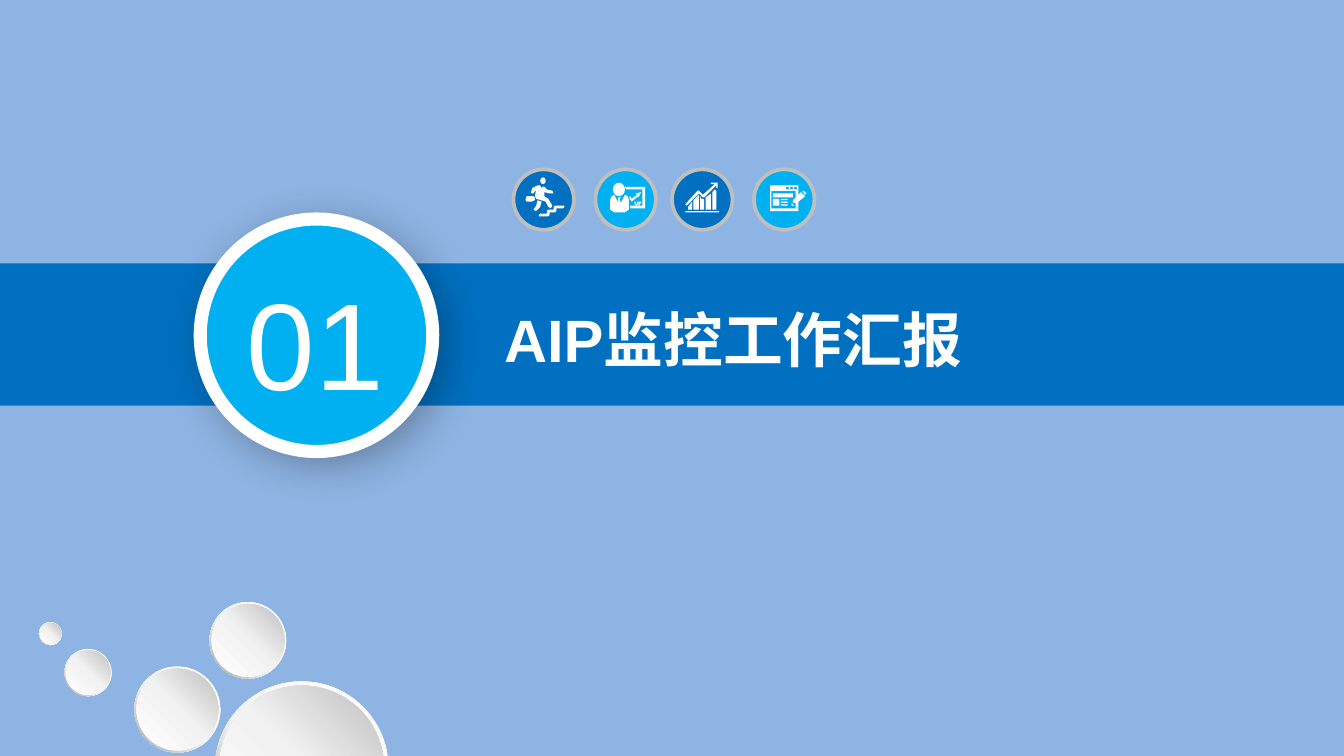
from lxml.etree import SubElement
from pptx import Presentation
from pptx.dml.color import RGBColor
from pptx.enum.shapes import MSO_SHAPE as Shape
from pptx.enum.text import MSO_ANCHOR as Anchor, PP_ALIGN as Align
from pptx.oxml.ns import qn
from pptx.util import Inches, Pt

WHITE = RGBColor(0xFF, 0xFF, 0xFF)
LIGHT = RGBColor(0xF2, 0xF2, 0xF2)
SILVER = RGBColor(0xBF, 0xBF, 0xBF)
GREY = RGBColor(0xA6, 0xA6, 0xA6)
BLACK = RGBColor(0, 0, 0)
SKY = RGBColor(0x8E, 0xB4, 0xE3)
BLUE = RGBColor(0x01, 0x70, 0xC0)
CYAN = RGBColor(0x01, 0xB0, 0xF1)

TITLE = "AIP监控工作汇报"
NUMBER = "01"
FONT = "Arial"
ICON_TOP, ICON_SIZE = 1.26, 0.45
RING = 0.049  # thickness of a bubble's rim, as a share of its size

# Icon parts are in hundredths of an inch from the icon's top left corner.
# "outlines": lists of contours; "ovals" and "bars": left, top, width, height.
RUNNER = {
    "outlines": [
        [[(20, 33), (25, 33), (25, 31), (26, 30), (30, 30), (30, 28), (31, 27), (38, 27), (38, 28),
          (37, 29), (32, 29), (32, 31), (31, 32), (27, 32), (27, 34), (26, 35), (19, 35), (19, 34)]],
        [[(10, 24), (14, 24), (16, 23), (16, 21), (15, 20), (10, 20), (9, 23)]],
        [[(15, 30), (17, 27), (18, 23), (21, 24), (20, 28), (17, 31)]],
        [[(22, 13), (23, 13), (25, 15), (29, 16), (30, 18), (27, 18), (23, 17), (23, 20), (26, 22),
          (29, 27), (28, 29), (26, 28), (24, 24), (17, 22), (16, 20), (17, 15), (15, 18), (13, 18),
          (14, 14), (18, 12), (20, 12), (21, 14)]],
    ],
    "ovals": [(20, 6, 4, 5)],
}
PRESENTER = {
    "outlines": [
        [[(22, 13), (23, 15), (35, 15), (35, 27), (26, 27), (26, 29), (37, 29), (37, 13)]],
        [[(26, 20), (25, 21), (27, 24), (32, 20), (32, 21), (34, 17), (30, 18), (31, 19), (27, 22)]],
        [[(22, 19), (19, 25), (18, 22), (19, 21), (17, 21), (17, 25), (14, 19), (12, 20), (11, 23),
          (11, 30), (14, 32), (22, 32), (25, 30), (25, 23), (24, 20)]],
        [[(29, 24), (29, 25), (30, 27), (31, 27), (32, 25), (32, 24), (31, 24), (31, 26), (30, 26),
          (30, 24)]],
        [[(32, 24), (32, 27), (33, 27), (33, 26), (34, 25), (34, 24)]],
    ],
    "ovals": [(13, 10, 9, 10)],
}
GROWTH = {
    "outlines": [
        [[(12, 28), (15, 24), (15, 30), (12, 30)]],
        [[(16, 23), (20, 19), (20, 30), (16, 30)]],
        [[(21, 20), (22, 22), (24, 22), (24, 30), (21, 30)]],
        [[(25, 21), (29, 18), (29, 30), (25, 30)]],
        [[(30, 17), (32, 15), (33, 16), (33, 30), (30, 30)]],
        [[(11, 27), (20, 18), (23, 21), (24, 21), (33, 12), (33, 14), (34, 14), (34, 10), (29, 10),
          (29, 11), (32, 11), (23, 19), (20, 16), (19, 16), (10, 26)]],
    ],
    "bars": [(10, 31, 25, 1)],
}
BROWSER = {
    "outlines": [
        [[(12, 12), (33, 12), (33, 31), (12, 31)],
         [(13, 16), (13, 29), (31, 29), (31, 16)]]
        + [[(x, 13), (x, 15), (x + 2, 15), (x + 2, 13)] for x in (24, 27, 30)],
        [[(28, 25), (28, 27), (30, 27)]],
        [[(38, 19), (39, 18), (37, 16), (36, 16)]],
        [[(35, 17), (29, 23), (29, 25), (31, 25), (32, 25), (38, 20)]],
    ],
    "bars": [(14, 18, 15, 3), (14, 22, 5, 5)] + [(20, y, 5, 1) for y in (22, 24, 26)],
}
ICONS = [(3.82, BLUE, RUNNER), (4.43, CYAN, PRESENTER), (5.00, BLUE, GROWTH), (5.61, CYAN, BROWSER)]

# left, top, size
BUBBLES = [(1.00, 4.96, 0.64), (1.83, 5.28, 0.28), (1.60, 5.07, 1.29),
           (1.56, 4.48, 0.57), (0.48, 4.83, 0.35), (0.29, 4.63, 0.17)]


def paint(shape, color, line=None, width=0):
    shape.shadow.inherit = False
    shape.fill.solid()
    shape.fill.fore_color.rgb = color
    if line is None:
        shape.line.fill.background()
    else:
        shape.line.color.rgb = line
        shape.line.width = Pt(width)


def add_preset(shapes, kind, box, color, line=None, width=0):
    shape = shapes.add_shape(kind, *map(Inches, box))
    paint(shape, color, line, width)
    return shape


def add_outline(shapes, contours, left, top):
    builder = shapes.build_freeform(*contours[0][0], scale=Inches(0.01))
    builder.add_line_segments(contours[0][1:], close=True)
    for contour in contours[1:]:
        builder.move_to(*contour[0])
        builder.add_line_segments(contour[1:], close=True)
    paint(builder.convert_to_shape(Inches(left), Inches(top)), WHITE)


def add_icon(shapes, left, color, parts):
    add_preset(shapes, Shape.OVAL, (left, ICON_TOP, ICON_SIZE, ICON_SIZE), color, SILVER, 2)
    for contours in parts["outlines"]:
        add_outline(shapes, contours, left, ICON_TOP)
    for name, kind in (("ovals", Shape.OVAL), ("bars", Shape.RECTANGLE)):
        for x, y, width, height in parts.get(name, []):
            box = (left + x / 100, ICON_TOP + y / 100, width / 100, height / 100)
            add_preset(shapes, kind, box, WHITE)


def set_gradient(shape, stops, angle):
    """Fill with (percent, colour) stops; the angle runs counter-clockwise."""
    shape.fill.gradient()
    shape.fill.gradient_angle = angle
    stop_list = shape._element.spPr.find(".//" + qn("a:gsLst"))
    for old_stop in list(stop_list):
        stop_list.remove(old_stop)
    for percent, color in stops:
        stop = SubElement(stop_list, qn("a:gs"), pos=str(percent * 1000))
        SubElement(stop, qn("a:srgbClr"), val=str(color))


def add_bubble(shapes, left, top, size):
    rim = add_preset(shapes, Shape.DONUT, (left, top, size, size), WHITE)
    rim.adjustments[0] = RING
    set_gradient(rim, [(0, WHITE), (55, LIGHT), (100, GREY)], 225)
    inset = size * RING / 2
    inner = size - 2 * inset
    ball = add_preset(shapes, Shape.OVAL, (left + inset, top + inset, inner, inner), WHITE)
    set_gradient(ball, [(0, WHITE), (51, LIGHT), (100, SILVER)], 45)


def add_shadow(shape, blur, distance, angle, opacity):
    effects = shape._element.spPr.find(qn("a:effectLst"))
    shadow = SubElement(effects, qn("a:outerShdw"), blurRad=str(Pt(blur)), dist=str(Pt(distance)),
                        dir=str(angle * 60000), algn="tl", rotWithShape="0")
    color = SubElement(shadow, qn("a:srgbClr"), val=str(BLACK))
    SubElement(color, qn("a:alpha"), val=str(opacity * 1000))


def write(shape, text, size, align, bold=False):
    paragraph = shape.text_frame.paragraphs[0]
    paragraph.alignment = align
    run = paragraph.add_run()
    run.text = text
    run.font.name, run.font.size, run.font.bold = FONT, Pt(size), bold
    run.font.color.rgb = WHITE


def main():
    presentation = Presentation()
    presentation.slide_width = Inches(10)
    presentation.slide_height = Inches(10 * 9 / 16)
    slide = presentation.slides.add_slide(presentation.slide_layouts[5])
    slide.background.fill.solid()
    slide.background.fill.fore_color.rgb = SKY
    shapes = slide.shapes

    band = add_preset(shapes, Shape.RECTANGLE, (0, 1.96, 10, 1.06), BLUE)
    shapes._spTree.insert(2, band._element)  # behind the title

    title = shapes.title
    title.left, title.top, title.width, title.height = map(Inches, (3.65, 2.2, 3.87, 0.64))
    title.text_frame.vertical_anchor = Anchor.MIDDLE
    write(title, TITLE, 32, Align.LEFT, bold=True)

    for left, color, parts in ICONS:
        add_icon(shapes.add_group_shape().shapes, left, color, parts)

    badge = shapes.add_group_shape().shapes
    disc = add_preset(badge, Shape.OVAL, (1.49, 1.63, 1.73, 1.73), CYAN, WHITE, 7)
    add_shadow(disc, blur=22, distance=6, angle=45, opacity=28)
    label = badge.add_textbox(*map(Inches, (1.69, 1.95, 1.31, 1.19)))
    frame = label.text_frame
    frame.word_wrap = True
    frame.margin_left = frame.margin_right = Inches(0.07)
    frame.margin_top = frame.margin_bottom = Inches(0.04)
    write(label, NUMBER, 66, Align.CENTER)

    for bubble in BUBBLES:
        add_bubble(shapes.add_group_shape().shapes, *bubble)

    presentation.save("out.pptx")


if __name__ == "__main__":
    main()
